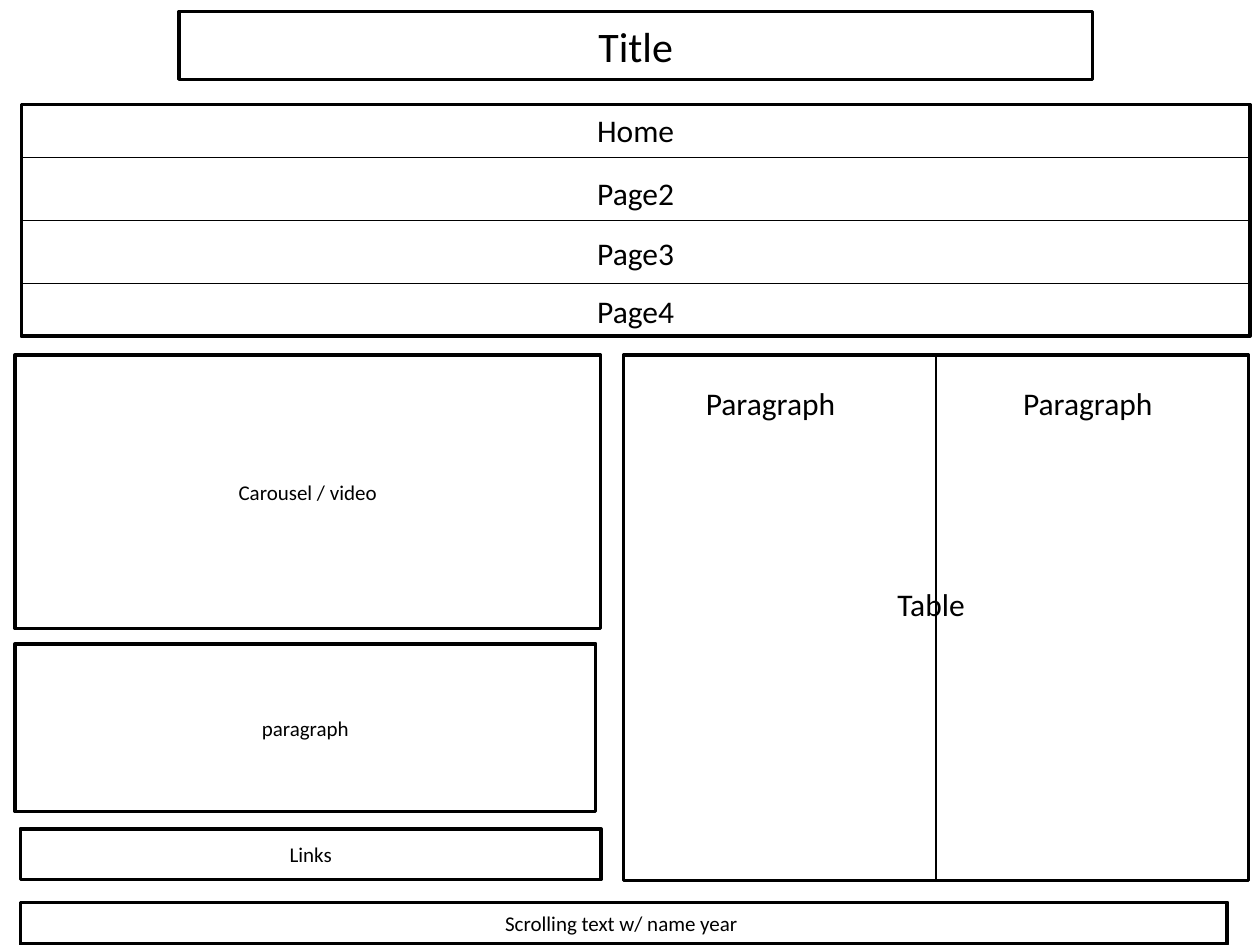
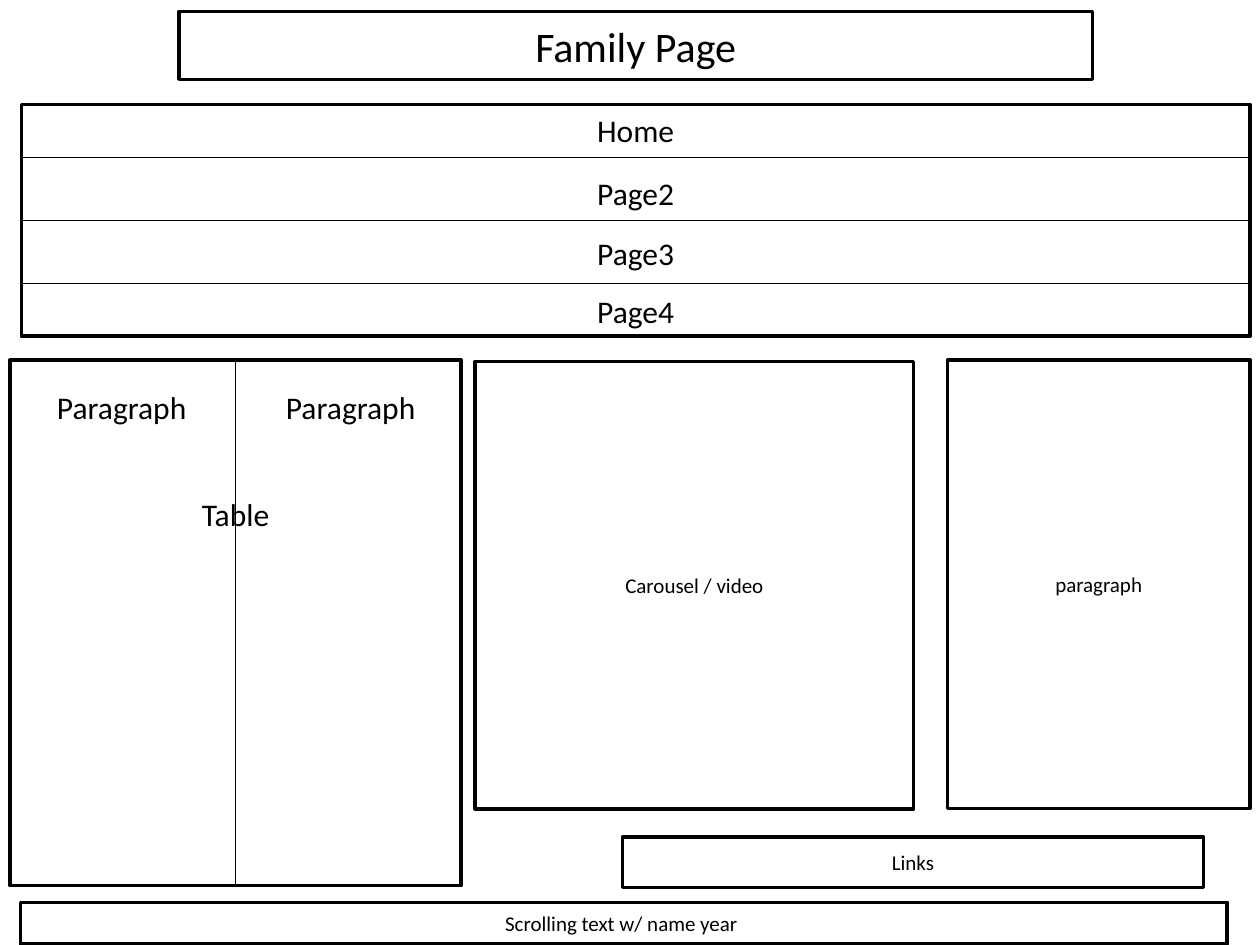
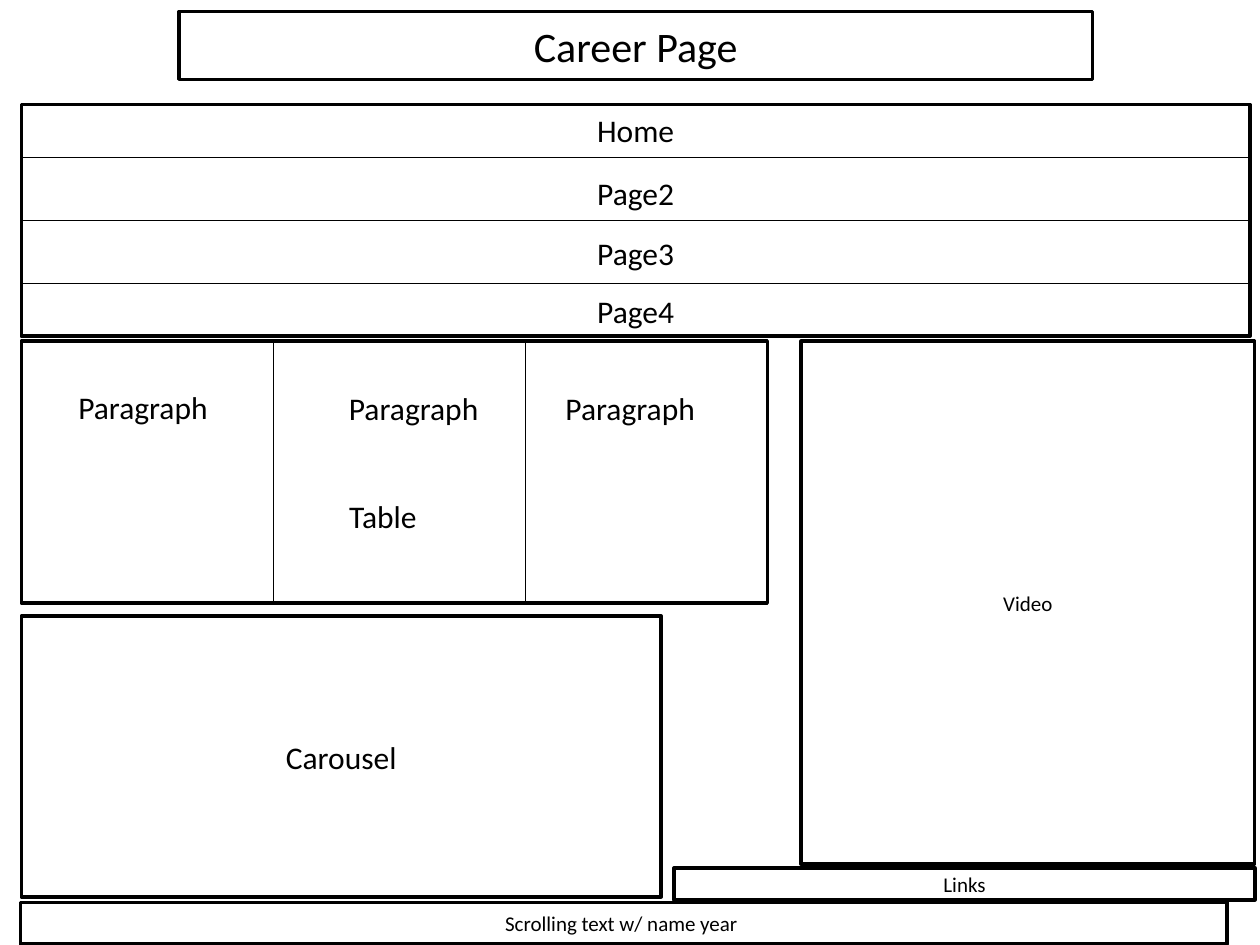
from dataclasses import dataclass

from lxml import etree
from pptx import Presentation
from pptx.dml.color import RGBColor
from pptx.enum import shapes, text
from pptx.oxml import ns
from pptx.util import Cm, Pt


@dataclass(frozen=True)
class Theme:
    font: str = "Calibri"
    ink: RGBColor = RGBColor(0, 0, 0)
    paper: RGBColor = RGBColor(255, 255, 255)
    title: int = 24
    label: int = 18
    small: int = 12
    frame: float = 2
    rule: float = 0.75


THEME = Theme()

# Boxes are left, top, width, height in cm
SIZE = (25.4, 19.05)
TITLE = (3.61, 0.23, 18.41, 1.37)
MENU = (0.43, 2.11, 24.77, 4.67)
FOOT = (0.41, 18.19, 24.33, 0.84)
LINE = 1.02  # height of a one-line label

# Menu entries: words, top inside the menu, width
PAGES = [("Home", 0, 17.98), ("Page2", 1.27, 17.78),
         ("Page3", 2.49, 14.6), ("Page4", 3.66, 12.57)]


# Basic parts
def write(shape, words, size, align=text.PP_ALIGN.CENTER):
    frame = shape.text_frame
    frame.word_wrap = True
    frame.text = words
    para = frame.paragraphs[0]
    para.alignment = align
    for run in para.runs:
        run.font.name = THEME.font
        run.font.size = Pt(size)
        run.font.color.rgb = THEME.ink


def style(shape, filled=True):
    if filled:
        shape.fill.solid()
        shape.fill.fore_color.rgb = THEME.paper
    else:
        shape.fill.background()
    shape.line.color.rgb = THEME.ink
    shape.line.width = Pt(THEME.frame)


def block(slide, box, words="", size=THEME.small, filled=True):
    shape = slide.shapes.add_shape(shapes.MSO_SHAPE.RECTANGLE, *map(Cm, box))
    shape.shadow.inherit = False
    style(shape, filled)
    shape.text_frame.vertical_anchor = text.MSO_ANCHOR.MIDDLE
    if words:
        write(shape, words, size)
    return shape


def label(slide, left, top, width, words, align=text.PP_ALIGN.CENTER):
    shape = slide.shapes.add_textbox(Cm(left), Cm(top), Cm(width), Cm(LINE))
    write(shape, words, THEME.label, align)
    shape.text_frame.auto_size = text.MSO_AUTO_SIZE.SHAPE_TO_FIT_TEXT


def rule(slide, *ends):
    line = slide.shapes.add_connector(
        shapes.MSO_CONNECTOR.STRAIGHT, *map(Cm, ends))
    line.line.color.rgb = THEME.ink
    line.line.width = Pt(THEME.rule)
    etree.SubElement(line._element.spPr, ns.qn("a:effectLst"))
    return line


# Regions
def heading(slide, box, words):
    shape = slide.shapes.title
    shape.left, shape.top, shape.width, shape.height = map(Cm, box)
    style(shape)
    write(shape, words, THEME.title)
    shape.text_frame.vertical_anchor = text.MSO_ANCHOR.MIDDLE


def menu(slide, box):
    left, top, width, _ = box
    block(slide, box)
    for row in range(len(PAGES) - 1):
        y = top + 1.07 + 1.27 * row
        rule(slide, left, y, left + width, y)
    for words, drop, wide in PAGES:
        label(slide, left + (width - wide) / 2, top + drop, wide, words)


def grid(slide, box, splits, labels):
    """Table sketch; splits and labels are measured from the box corner."""
    left, top, width, height = box
    panel = block(slide, box)
    for split in splits:
        x = left + split
        line = rule(slide, x, top, x, top + height)
        if split == width / 2:
            line.begin_connect(panel, 0)
            line.end_connect(panel, 2)
    for dx, dy, wide, words, *align in labels:
        label(slide, left + dx, top + dy, wide, words, *align)


def page(deck, title, blocks, table):
    slide = deck.slides.add_slide(deck.slide_layouts[5])
    heading(slide, TITLE, title)
    menu(slide, MENU)
    block(slide, FOOT, "Scrolling text w/ name year ", filled=False)
    grid(slide, *table)
    for item in blocks:
        block(slide, *item)


# Page contents: title, blocks, table
PLANS = [
    ("Title",
     [((0.3, 7.16, 11.81, 5.51), "Carousel / video"),
      ((0.41, 16.71, 11.71, 1.02), "Links"),
      ((0.3, 12.98, 11.71, 3.38), "paragraph")],
     ((12.57, 7.16, 12.6, 10.59), [6.3],
      [(0.23, 0.46, 5.61, "Paragraph "),
       (6.53, 0.46, 5.66, "Paragraph"),
       (0.23, 4.5, 11.94, "Table")])),
    ("Family Page",
     [((9.58, 7.29, 8.84, 9.02), "Carousel / video"),
      ((12.55, 16.87, 11.71, 1.02), "Links"),
      ((19.1, 7.26, 6.1, 9.04), "paragraph")],
     ((0.2, 7.26, 9.1, 10.59), [4.55],
      [(-0.48, 0.43, 5.61, "Paragraph "),
       (4.04, 0.43, 5.66, "Paragraph"),
       (-1.42, 2.59, 11.94, "Table")])),
    ("Career Page",
     [((16.15, 6.88, 9.14, 10.54), "Video"),
      ((13.59, 17.5, 11.71, 0.64), "Links"),
      ((0.43, 12.42, 12.9, 5.66), "Carousel", THEME.label)],
     ((0.43, 6.88, 15.04, 5.28), [5.08, 10.16],
      [(-0.28, 0.81, 5.61, "Paragraph "),
       (5.08, 0.84, 5.66, "Paragraph"),
       (1.32, 3.02, 11.94, "Table"),
       (10.72, 0.84, 3.61, "Paragraph", text.PP_ALIGN.LEFT)])),
]


def main():
    deck = Presentation()
    deck.slide_width, deck.slide_height = map(Cm, SIZE)
    for plan in PLANS:
        page(deck, *plan)
    deck.save("out.pptx")


if __name__ == "__main__":
    main()
